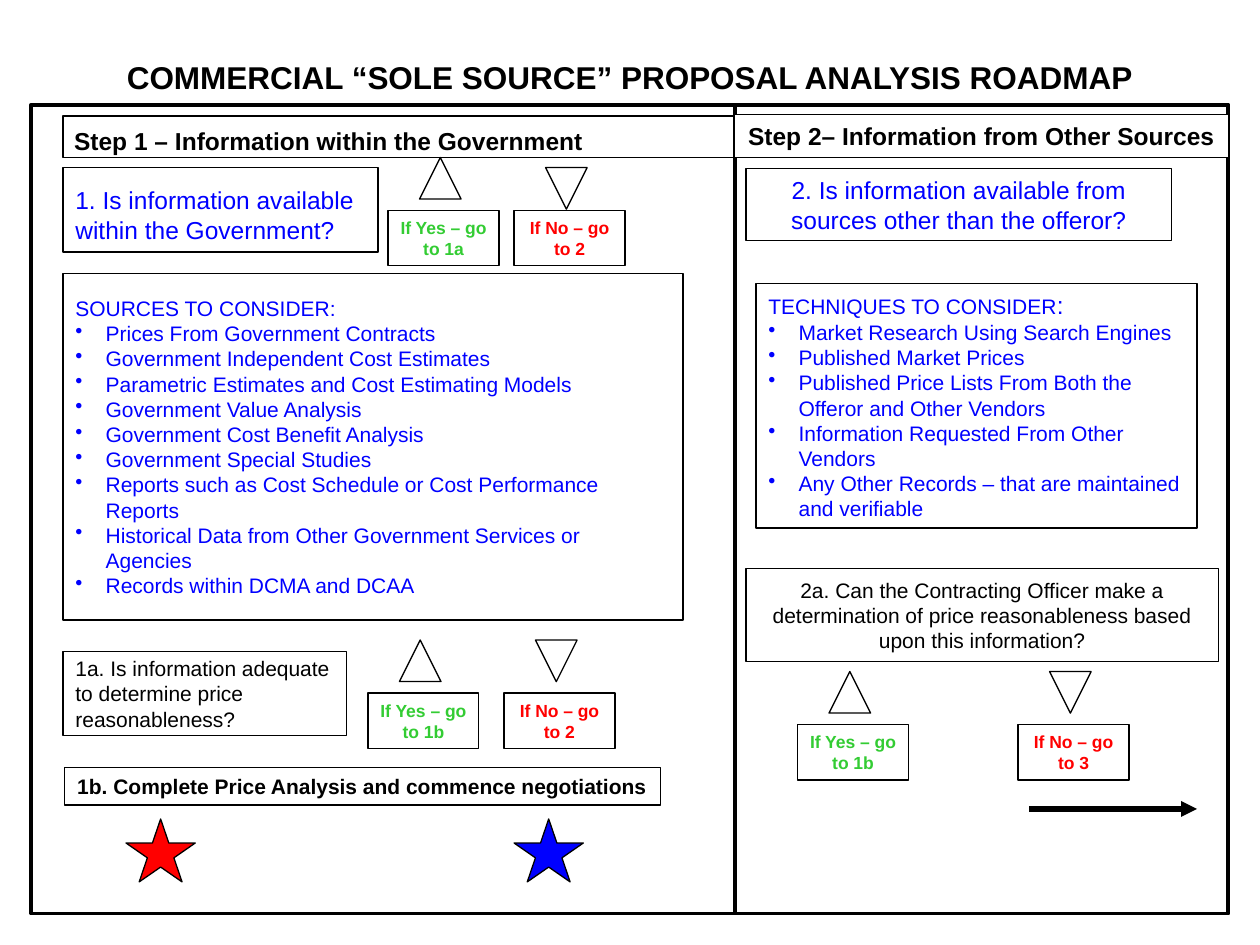
from lxml import etree
from pptx import Presentation
from pptx.dml.color import RGBColor
from pptx.enum.shapes import MSO_CONNECTOR, MSO_SHAPE
from pptx.enum.text import MSO_ANCHOR, PP_ALIGN
from pptx.oxml.ns import qn
from pptx.util import Inches, Pt

PROCESS = MSO_SHAPE.FLOWCHART_PROCESS
TRIANGLE = MSO_SHAPE.FLOWCHART_EXTRACT
STAR = MSO_SHAPE.STAR_5_POINT
STRAIGHT = MSO_CONNECTOR.STRAIGHT
TOP, MIDDLE = MSO_ANCHOR.TOP, MSO_ANCHOR.MIDDLE
LEFT, CENTER = PP_ALIGN.LEFT, PP_ALIGN.CENTER

BLACK = RGBColor(0x00, 0x00, 0x00)
WHITE = RGBColor(0xFF, 0xFF, 0xFF)
BLUE = RGBColor(0x00, 0x00, 0xFF)
RED = RGBColor(0xFF, 0x00, 0x00)
GREEN = RGBColor(0x33, 0xCC, 0x33)

prs = Presentation()
prs.slide_width, prs.slide_height = Inches(10), Inches(7.5)
slide = prs.slides.add_slide(prs.slide_layouts[5])


def add_outline(kind, left, top, width, height, fill=WHITE, weight=0.75):
    """Add a preset shape with a black outline."""
    shape = slide.shapes.add_shape(
        kind, Inches(left), Inches(top), Inches(width), Inches(height))
    shape.shadow.inherit = False
    if fill is None:
        shape.fill.background()
    else:
        shape.fill.solid()
        shape.fill.fore_color.rgb = fill
    shape.line.color.rgb = BLACK
    shape.line.width = Pt(weight)
    return shape


def write(shape, lines, size, color=BLACK, bold=False, align=CENTER,
          anchor=MIDDLE, wrap=True):
    """Write a first line, then any further lines as bullets."""
    frame = shape.text_frame
    frame.word_wrap = wrap
    frame.vertical_anchor = anchor
    frame.text = "\n".join(lines)
    for number, paragraph in enumerate(frame.paragraphs):
        if number:
            props = paragraph._p.get_or_add_pPr()
            props.set("marL", str(Inches(0.24)))
            props.set("indent", str(-Inches(0.24)))
            etree.SubElement(props, qn("a:buChar")).set("char", "•")
        paragraph.alignment = align
        paragraph.font.name = "Arial"
        paragraph.font.size = Pt(size)
        paragraph.font.bold = bold
        paragraph.font.color.rgb = color


# Title
title = slide.shapes.title
title.left, title.top = Inches(0.5), Inches(0.3)
title.width, title.height = Inches(9), Inches(0.62)
write(title, ["COMMERCIAL “SOLE SOURCE” PROPOSAL ANALYSIS ROADMAP"], 18,
      bold=True)

# Frame, step 1 header and question outlines
add_outline(PROCESS, 0.25, 0.83, 9.5, 6.42, None, 2.25)
add_outline(PROCESS, 0.5, 0.92, 5.33, 0.33, None)
add_outline(PROCESS, 0.5, 1.33, 2.5, 0.67, None)

# Step 1 header and question text
step_1 = slide.shapes.add_textbox(
    Inches(0.49), Inches(0.95), Inches(4.24), Inches(0.34))
write(step_1, ["Step 1 – Information within the Government"], 14, bold=True,
      align=LEFT, anchor=TOP, wrap=False)
question_1 = slide.shapes.add_textbox(
    Inches(0.5), Inches(1.42), Inches(2.5), Inches(0.57))
write(question_1, ["1. Is information available within the Government?"], 14,
      BLUE, align=LEFT, anchor=TOP)

# Divider between the steps, and the arrow leading on to step 3
divider = slide.shapes.add_connector(
    STRAIGHT, Inches(5.83), Inches(0.83), Inches(5.83), Inches(7.25))
next_step = slide.shapes.add_connector(
    STRAIGHT, Inches(8.17), Inches(6.42), Inches(9.5), Inches(6.42))
for connector, weight in ((divider, 2.25), (next_step, 3)):
    connector.line.color.rgb = BLACK
    connector.line.width = Pt(weight)
    etree.SubElement(connector._element.spPr, qn("a:effectLst"))
arrowhead = etree.SubElement(next_step.line._get_or_add_ln(), qn("a:tailEnd"))
arrowhead.set("type", "triangle")

# Boxes: left, top, width, height, text, size, colour, bold, align, wrap
boxes = [
    (0.5, 5.17, 2.25, 0.67,
     "1a. Is information adequate to determine price reasonableness?",
     12, BLACK, False, LEFT, True),
    (0.51, 6.09, 4.73, 0.3,
     "1b. Complete Price Analysis and commence negotiations",
     12, BLACK, True, CENTER, False),
    (5.83, 0.91, 3.92, 0.34, "Step 2– Information from Other Sources",
     14, BLACK, True, CENTER, True),
    (5.92, 1.34, 3.38, 0.57,
     "2. Is information available from sources other than the offeror?",
     14, BLUE, False, CENTER, True),
    (5.92, 4.51, 3.75, 0.74,
     "2a. Can the Contracting Officer make a determination of price "
     "reasonableness based upon this information?",
     12, BLACK, False, CENTER, True),
]
for left, top, width, height, text, size, color, bold, align, wrap in boxes:
    write(add_outline(PROCESS, left, top, width, height), [text], size, color,
          bold, align, wrap=wrap)

# Lists of sources and techniques
sources = add_outline(PROCESS, 0.5, 2.17, 4.92, 2.75)
write(sources, [
    "SOURCES TO CONSIDER:",
    "Prices From Government Contracts",
    "Government Independent Cost Estimates",
    "Parametric Estimates and Cost Estimating Models",
    "Government Value Analysis",
    "Government Cost Benefit Analysis",
    "Government Special Studies",
    "Reports such as Cost Schedule or Cost Performance Reports",
    "Historical Data from Other Government Services or Agencies",
    "Records within DCMA and DCAA",
], 12, BLUE, align=LEFT)

techniques = add_outline(PROCESS, 6, 2.25, 3.5, 1.94)
write(techniques, [
    "TECHNIQUES TO CONSIDER",
    "Market Research Using Search Engines",
    "Published Market Prices",
    "Published Price Lists From Both the Offeror and Other Vendors",
    "Information Requested From Other Vendors",
    "Any Other Records – that are maintained and verifiable",
], 12, BLUE, align=LEFT)
colon = techniques.text_frame.paragraphs[0].add_run()
colon.text = ":"
colon.font.size = Pt(14)

# Decisions: box left, box top, triangle top, answer, target
decisions = [
    (3.08, 1.67, 1.25, "Yes", "1a"),
    (4.08, 1.67, 1.33, "No", "2"),
    (2.92, 5.5, 5.08, "Yes", "1b"),
    (4, 5.5, 5.08, "No", "2"),
    (6.33, 5.75, 5.33, "Yes", "1b"),
    (8.08, 5.75, 5.33, "No", "3"),
]
for left, top, triangle_top, answer, target in decisions:
    triangle = add_outline(TRIANGLE, left + 0.25, triangle_top, 0.33, 0.33)
    triangle.rotation = 0 if answer == "Yes" else 180
    write(add_outline(PROCESS, left, top, 0.88, 0.44),
          [f"If {answer} – go to {target}"], 10,
          GREEN if answer == "Yes" else RED, bold=True)

# Stars
for left, color in ((1, RED), (4.08, BLUE)):
    add_outline(STAR, left, 6.5, 0.55, 0.5, color)

prs.save("out.pptx")
